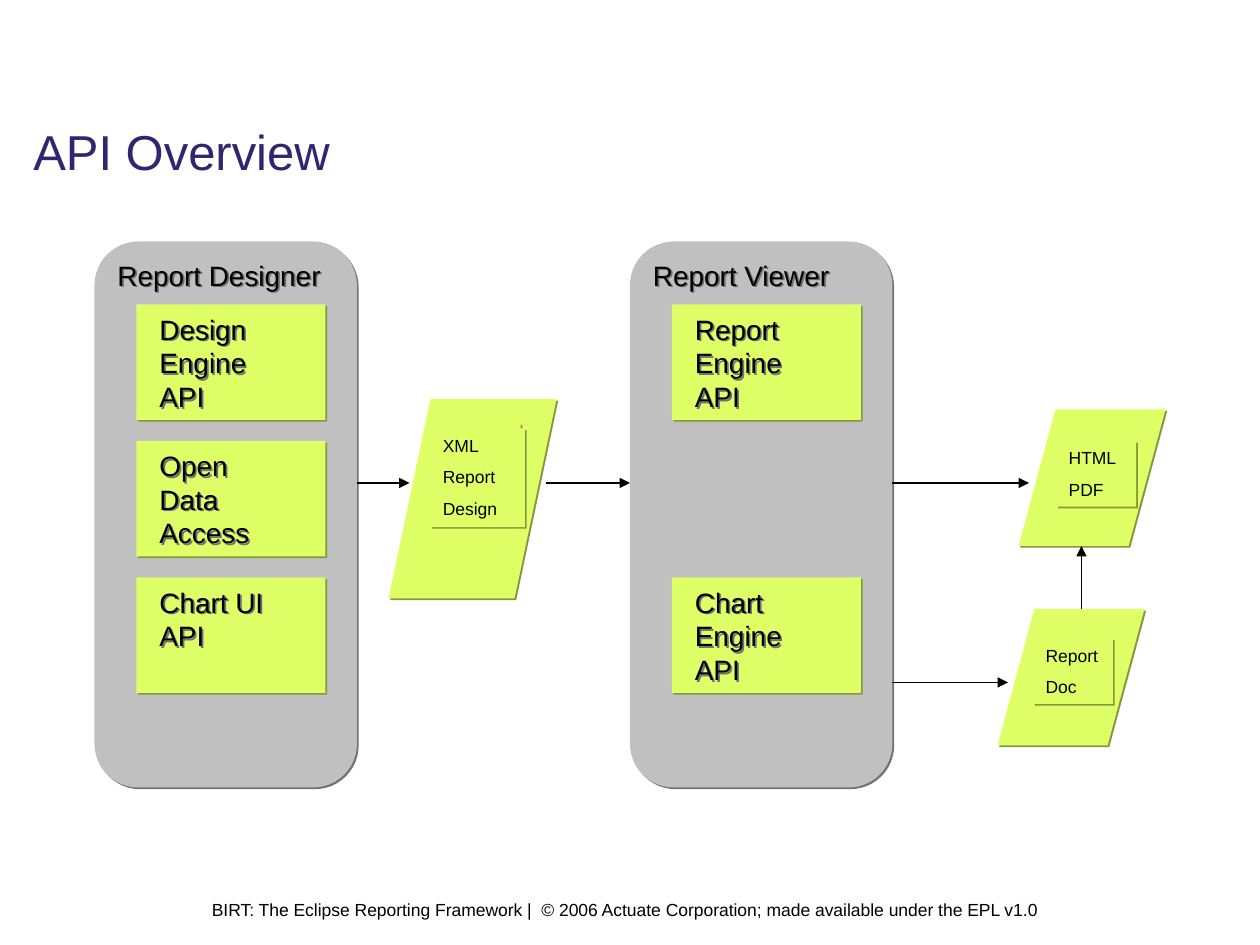
from lxml.etree import SubElement
from pptx import Presentation
from pptx.dml.color import RGBColor
from pptx.enum.shapes import MSO_CONNECTOR, MSO_SHAPE
from pptx.enum.text import MSO_ANCHOR, PP_ALIGN
from pptx.oxml.ns import qn
from pptx.util import Inches, Pt

BLACK = RGBColor(0x00, 0x00, 0x00)
NAVY = RGBColor(0x2F, 0x26, 0x72)
GRAY = RGBColor(0xC0, 0xC0, 0xC0)
LIME = RGBColor(0xDF, 0xFF, 0x66)
GRAY_SHADE = RGBColor(0x72, 0x72, 0x72)
LIME_SHADE = RGBColor(0x85, 0x98, 0x3C)

prs = Presentation()
prs.slide_width, prs.slide_height = Inches(10), Inches(7.5)
s = prs.slides.add_slide(prs.slide_layouts[6])
COL = prs.slide_width / 120
ROW = prs.slide_height / 90


def add_box(kind, col, row, cols, rows, fill=None, shade=None):
    box = [int(v) for v in (col * COL, row * ROW, cols * COL, rows * ROW)]
    sp = s.shapes.add_shape(kind, *box) if kind else s.shapes.add_textbox(*box)
    if fill is not None:
        sp.fill.solid()
        sp.fill.fore_color.rgb = fill
        sp.line.fill.background()
    sp.shadow.inherit = False
    if shade is not None:
        effects = sp._element.spPr.find(qn("a:effectLst"))
        shadow = SubElement(effects, qn("a:outerShdw"), dist=str(Pt(1.4)),
                            dir="2700000", algn="tl", rotWithShape="0")
        SubElement(shadow, qn("a:srgbClr"), val=str(shade))
    return sp


def add_text(sp, lines, size, color=BLACK, gap=0, anchor=MSO_ANCHOR.TOP):
    tf = sp.text_frame
    frame = {"word_wrap": True, "vertical_anchor": anchor,
             "margin_left": Inches(0.1), "margin_right": Inches(0.1),
             "margin_top": Inches(0.05), "margin_bottom": Inches(0.05)}
    for name, value in frame.items():
        setattr(tf, name, value)
    for i, line in enumerate(lines):
        p = tf.add_paragraph() if i else tf.paragraphs[0]
        p.alignment = PP_ALIGN.LEFT
        p.space_before = Pt(gap if i else 0)
        r = p.add_run()
        r.text = line
        for name, value in {"name": "Arial", "size": Pt(size)}.items():
            setattr(r.font, name, value)
        r.font.color.rgb = color


footer = ("BIRT: The Eclipse Reporting Framework |  © 2006 Actuate Corporation; "
          "made available under the EPL v1.0")
add_text(add_box(None, 19, 85, 101, 3.2), [footer], 10)
title = add_box(None, 2, 11.4, 108.2, 6.6)
add_text(title, ["API Overview"], 28, NAVY, anchor=MSO_ANCHOR.MIDDLE)
title.text_frame.paragraphs[0].line_spacing = 0.9

panels = [
    (9, "Report Designer", ["Design Engine API", "Open Data Access", "Chart UI API"]),
    (60, "Report Viewer", ["Report Engine API", None, "Chart Engine API"]),
]
for col, heading, cards in panels:
    add_box(MSO_SHAPE.ROUNDED_RECTANGLE, col, 23, 25, 52, GRAY, GRAY_SHADE)
    add_text(add_box(None, col + 1, 24, 22, 4.5, shade=GRAY_SHADE), [heading], 16)
    for i, card in enumerate(cards):
        if card:
            row = 29 + 13 * i
            add_box(MSO_SHAPE.RECTANGLE, col + 4, row, 18, 11, LIME, LIME_SHADE)
            label = add_box(None, col + 5, row + 0.15, 15, 10.8, shade=GRAY_SHADE)
            add_text(label, [card], 16)

documents = [
    ((97, 39, 14, 13), (100.6, 42, 7.6, 6.25), ["HTML", "PDF"]),
    ((37, 38, 16, 19), (41, 40.8, 9, 9.4), ["XML", "Report", "Design"]),
    ((95, 58, 14, 13), (98.4, 60.8, 7.6, 6.25), ["Report", "Doc"]),
]
for outer, inner, lines in documents:
    sp = add_box(MSO_SHAPE.PARALLELOGRAM, *outer, LIME, LIME_SHADE)
    sp.adjustments[0] = 0.25 if len(lines) == 3 else 0.27
    if len(lines) == 3:
        add_box(MSO_SHAPE.RECTANGLE, 41, 40.3, 8.6, 3.2, LIME, LIME_SHADE)
    label = add_box(MSO_SHAPE.RECTANGLE, *inner, LIME, LIME_SHADE)
    add_text(label, lines, 10, gap=6.2)

arrows = [(34, 46, 39, 46), (52, 46, 60, 46), (85, 46, 98, 46),
          (85, 65, 96, 65), (103, 58, 103, 52)]
for x1, y1, x2, y2 in arrows:
    ends = [int(v) for v in (x1 * COL, y1 * ROW, x2 * COL, y2 * ROW)]
    arrow = s.shapes.add_connector(MSO_CONNECTOR.STRAIGHT, *ends)
    arrow.line.color.rgb = BLACK
    arrow.line.width = Pt(0.75)
    SubElement(arrow.line._get_or_add_ln(), qn("a:tailEnd"), type="triangle")
    SubElement(arrow._element.spPr, qn("a:effectLst"))

prs.save("out.pptx")
